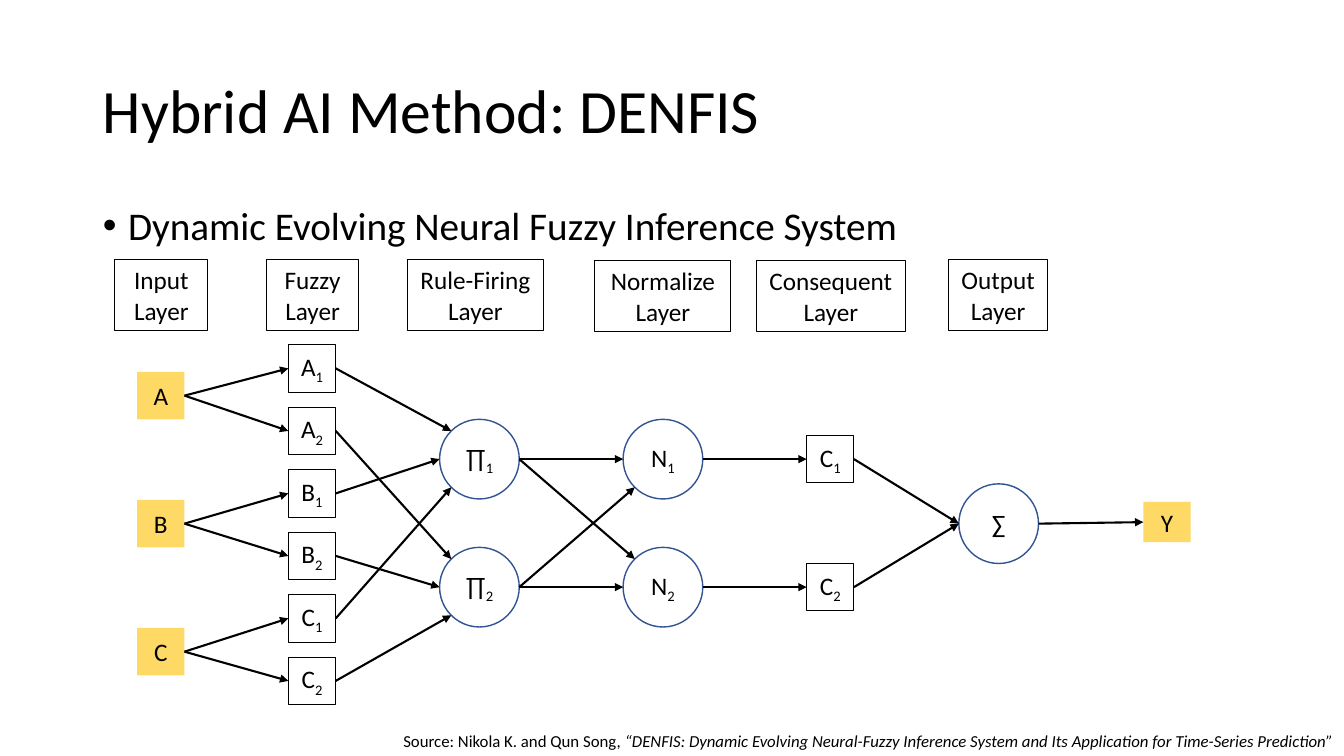
from lxml import etree
from pptx import Presentation
from pptx.dml.color import RGBColor
from pptx.enum.shapes import MSO_CONNECTOR, MSO_SHAPE
from pptx.enum.text import MSO_ANCHOR, MSO_AUTO_SIZE, PP_ALIGN
from pptx.oxml.ns import qn
from pptx.util import Inches, Pt

RECTANGLE, OVAL = MSO_SHAPE.RECTANGLE, MSO_SHAPE.OVAL
STRAIGHT = MSO_CONNECTOR.STRAIGHT
LEFT, CENTER, RIGHT = PP_ALIGN.LEFT, PP_ALIGN.CENTER, PP_ALIGN.RIGHT
TOP, MIDDLE = MSO_ANCHOR.TOP, MSO_ANCHOR.MIDDLE
NO_FIT = MSO_AUTO_SIZE.NONE
LEFT_SIDE, RIGHT_SIDE = 1, 3
BLACK = RGBColor(0x00, 0x00, 0x00)
GOLD = RGBColor(0xFF, 0xD9, 0x66)
NAVY = RGBColor(0x32, 0x54, 0x91)
FONT = "Calibri"
SQUARE, CIRCLE = 0.47, 0.79
ROW_STEP = 1.27

# Node styles: preset shape, fill colour, line colour, line width in points
INPUT = (RECTANGLE, GOLD, None, 0)
BOXED = (RECTANGLE, None, BLACK, 0.75)
ROUND = (OVAL, None, NAVY, 1)

deck = Presentation()
deck.slide_width, deck.slide_height = Inches(13.33), Inches(7.5)
page = deck.slides.add_slide(deck.slide_layouts[1])


def add_node(style, label, left, top, width, height, subscript=""):
    """Add a centred label in a shape; each line of the label is a paragraph."""
    preset, fill, line, line_width = style
    node = page.shapes.add_shape(
        preset, Inches(left), Inches(top), Inches(width), Inches(height))
    node.shadow.inherit = False
    if fill is None:
        node.fill.background()
    else:
        node.fill.solid()
        node.fill.fore_color.rgb = fill
    if line is None:
        node.line.fill.background()
    else:
        node.line.color.rgb = line
        node.line.width = Pt(line_width)
    frame = node.text_frame
    frame.word_wrap = False
    frame.vertical_anchor = MIDDLE
    frame.text = label
    if subscript:
        span = frame.paragraphs[0].add_run()
        span.text = subscript
        span._r.get_or_add_rPr().set("baseline", "-25000")
    for para in frame.paragraphs:
        para.alignment = CENTER
        for span in para.runs:
            span.font.name, span.font.size = FONT, Pt(18)
            span.font.color.rgb = BLACK
    return node


def add_arrow(start, end, approach=0):
    """Link two nodes; approach -1 or 1 enters a circle at its upper or lower left."""
    radius = end.width / 2
    end_x = end.left + (radius * (1 - 0.5 ** 0.5) if approach else 0)
    end_y = end.top + end.height / 2 + approach * radius * 0.5 ** 0.5
    arrow = page.shapes.add_connector(
        STRAIGHT, start.left + start.width, start.top + start.height // 2,
        int(end_x), int(end_y))
    if start.auto_shape_type == RECTANGLE:
        arrow.begin_connect(start, RIGHT_SIDE)
    if end.auto_shape_type == RECTANGLE:
        arrow.end_connect(end, LEFT_SIDE)
    arrow.line.color.rgb = BLACK
    arrow.line.width = Pt(1.5)
    etree.SubElement(arrow.line._get_or_add_ln(), qn("a:tailEnd"), type="triangle")
    etree.SubElement(arrow._element.spPr, qn("a:effectLst"))


# Title and bullet
title, body = page.placeholders
headings = [
    (title, "Hybrid AI Method: DENFIS", 0.4, 1.45, 44, MIDDLE),
    (body, "Dynamic Evolving Neural Fuzzy Inference System", 2, 5.1, 28, TOP),
]
for box, text, top, height, size, anchor in headings:
    box.left, box.top = Inches(0.92), Inches(top)
    box.width, box.height = Inches(11.5), Inches(height)
    frame = box.text_frame
    frame.text = text
    frame.auto_size = NO_FIT
    frame.vertical_anchor = anchor
    para = frame.paragraphs[0]
    para_format = {"alignment": LEFT, "line_spacing": 0.9, "space_before": Pt(0)}
    for name, value in para_format.items():
        setattr(para, name, value)
    span = para.runs[0]
    span.font.name, span.font.size = FONT, Pt(size)
    span.font.color.rgb = BLACK
bullet_properties = body.text_frame.paragraphs[0]._p.get_or_add_pPr()
bullet_properties.set("marL", str(Inches(0.25)))
bullet_properties.set("indent", str(Inches(-0.25)))

# Layer names
layer_names = [
    ("Input", 1.14, 2.57, 0.92),
    ("Fuzzy", 2.64, 2.57, 0.92),
    ("Rule-Firing", 4.04, 2.57, 1.35),
    ("Normalize", 5.9, 2.58, 1.35),
    ("Consequent", 7.5, 2.58, 1.48),
    ("Output", 9.41, 2.57, 0.98),
]
for name, left, top, width in layer_names:
    add_node(BOXED, f"{name}\nLayer", left, top, width, 0.71)

# Network nodes, layer by layer: style, labels, left, top, row step, size
layers = {
    "input": (INPUT, ["A", "B", "C"], 1.36, 3.69, ROW_STEP, SQUARE),
    "fuzzy": (BOXED, ["A1", "A2", "B1", "B2", "C1", "C2"], 2.86, 3.42, 0.62, SQUARE),
    "rule": (ROUND, ["∏1", "∏2"], 4.36, 4.16, ROW_STEP, CIRCLE),
    "normal": (ROUND, ["N1", "N2"], 6.18, 4.16, ROW_STEP, CIRCLE),
    "consequent": (BOXED, ["C1", "C2"], 8, 4.32, ROW_STEP, SQUARE),
    "sum": (ROUND, ["∑"], 9.51, 4.8, 0, CIRCLE),
}
nodes = {}
for layer, (style, labels, left, top, step, size) in layers.items():
    nodes[layer] = [
        add_node(style, label[0], left, top + row * step, size, size, label[1:])
        for row, label in enumerate(labels)
    ]
output = add_node(INPUT, "Y", 11.34, 4.98, SQUARE, 0.4)

# Arrows
for row, fuzzy in enumerate(nodes["fuzzy"]):
    variable, rule = divmod(row, 2)
    add_arrow(nodes["input"][variable], fuzzy)
    add_arrow(fuzzy, nodes["rule"][rule], variable - 1)
for row, rule in enumerate(nodes["rule"]):
    for target, normal in enumerate(nodes["normal"]):
        add_arrow(rule, normal, row - target)
    add_arrow(nodes["normal"][row], nodes["consequent"][row])
    add_arrow(nodes["consequent"][row], nodes["sum"][0])
add_arrow(nodes["sum"][0], output)

# Source line
source = page.shapes.add_textbox(Inches(2.24), Inches(7.2), Inches(11.09), Inches(0.3))
source.text_frame.word_wrap = True
para = source.text_frame.paragraphs[0]
para.alignment = RIGHT
citation = [
    ("Source: Nikola K. and Qun Song, ", False),
    ("“DENFIS: Dynamic Evolving Neural-Fuzzy Inference System and Its "
     "Application for Time-Series Prediction”", True),
]
for text, italic in citation:
    span = para.add_run()
    span.text = text
    span_format = {"name": FONT, "size": Pt(12), "italic": italic}
    for name, value in span_format.items():
        setattr(span.font, name, value)
    span.font.color.rgb = BLACK

deck.save("out.pptx")
